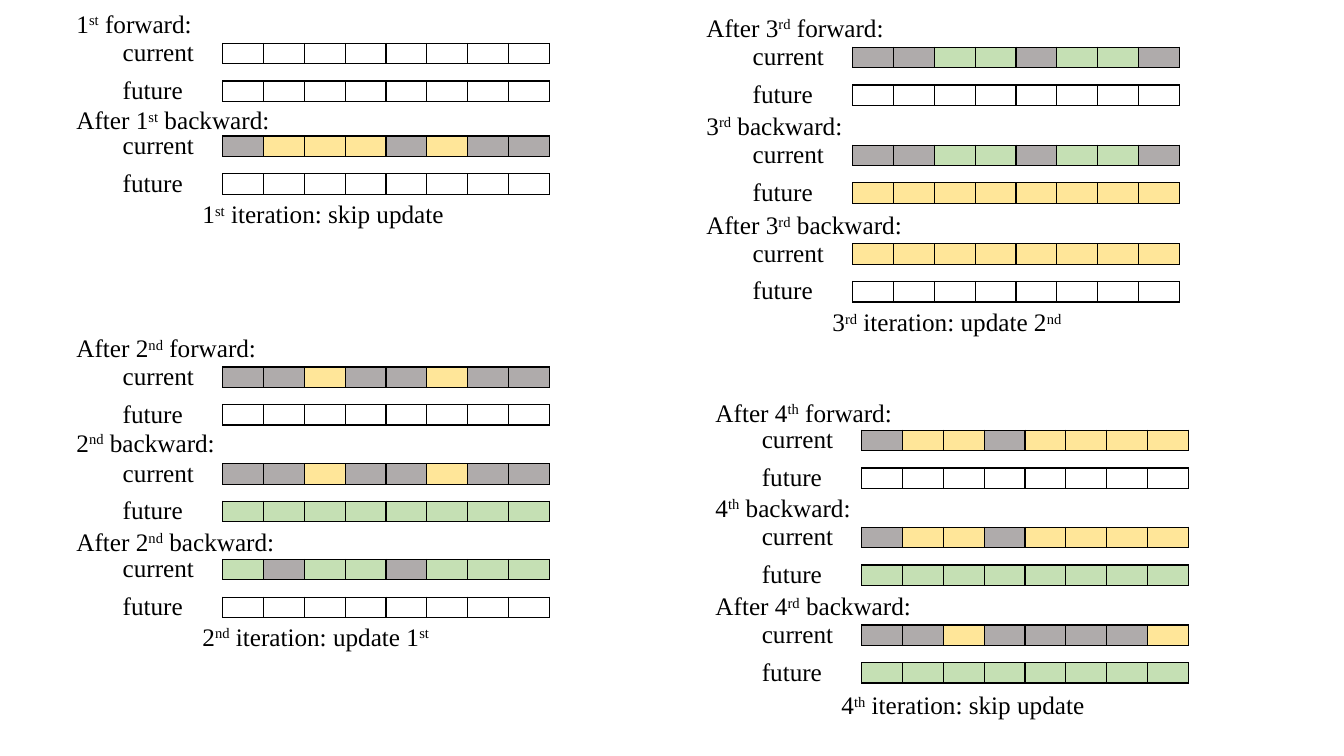
"""Build a slide showing current and future buffers over four training iterations."""
from lxml import etree
from pptx import Presentation, util as u
from pptx.dml.color import RGBColor
from pptx.enum import text
from pptx.oxml import ns

COLOURS = {"W": "FFFFFF", "A": "AFABAB", "Y": "FFE699", "G": "C5E0B4"}
BLACK = "000000"
FONT = "Times New Roman"

EMPTY, YELLOW, GREEN = "W" * 8, "Y" * 8, "G" * 8

# Carets enclose superscripts; each phase holds heading, heading top, row top, current, future.
ITERATIONS = [
    {"left": 47.5, "caption": ("1^st^ iteration: skip update", 138.2), "phases": [
        ("1^st^ forward:", 2.2, 31, EMPTY, EMPTY),
        ("After 1^st^ backward:", 71.3, 97.2, "AYYYAYAA", EMPTY)]},
    {"left": 47.5, "caption": ("2^nd^ iteration: update 1^st^", 439.9), "phases": [
        ("After 2^nd^ forward:", 234, 262.1, "AAYAAYAA", EMPTY),
        ("2^nd^ backward:", 301.7, 331.2, "AAYAAYAA", GREEN),
        ("After 2^nd^ backward:", 372.2, 399.6, "GAGGAGGG", EMPTY)]},
    {"left": 497.5, "caption": ("3^rd^ iteration: update 2^nd^", 215.3), "phases": [
        ("After 3^rd^ forward:", 5, 33.8, "AAGGAGGA", EMPTY),
        ("3^rd^ backward:", 74.9, 103.7, "AAGGAGGA", YELLOW),
        ("After 3^rd^ backward:", 146.2, 174.2, YELLOW, EMPTY)]},
    {"left": 504, "caption": ("4^th^ iteration: skip update", 488.9), "phases": [
        ("After 4^th^ forward:", 280.1, 307.4, "AYYAYYYY", EMPTY),
        ("4^th^ backward:", 347.8, 376.6, "AYYAYYYY", GREEN),
        ("After 4^rd^ backward:", 418.3, 446.4, "AAYAAAAY", GREEN)]},
]

LABEL_INDENT, ROW_INDENT, CAPTION_INDENT = 33.1, 111.6, 90
LABEL_RISE, FUTURE_DROP = 8.4, 26.9
HEADING_WIDTH, LABEL_WIDTH, CAPTION_WIDTH = 175, 88.6, 196.6
CELL_WIDTH, CELL_HEIGHT, TEXT_HEIGHT = 29.16, 14.6, 29


def colour(value):
    return RGBColor.from_string(value)


def add_text(slide, content, left, top, width, size=18, font=FONT, fill=BLACK):
    box = slide.shapes.add_textbox(u.Pt(left), u.Pt(top), u.Pt(width), u.Pt(TEXT_HEIGHT))
    frame = box.text_frame
    frame.word_wrap = True
    frame.auto_size = text.MSO_AUTO_SIZE.SHAPE_TO_FIT_TEXT
    for index, piece in enumerate(content.split("^")):
        if not piece:
            continue
        run = frame.paragraphs[0].add_run()
        run.text = piece
        run.font.size, run.font.name = u.Pt(size), font
        run.font.color.rgb = colour(fill)
        if index % 2:
            run._r.get_or_add_rPr().set("baseline", "30000")


def format_cell(cell, fill):
    cell.margin_left = cell.margin_right = cell.margin_top = cell.margin_bottom = 0
    cell.fill.solid()
    cell.fill.fore_color.rgb = colour(fill)
    properties = cell._tc.get_or_add_tcPr()
    for index, side in enumerate(("lnL", "lnR", "lnT", "lnB")):
        line = etree.Element(ns.qn("a:" + side), w=str(u.Pt(1)))
        solid = etree.SubElement(line, ns.qn("a:solidFill"))
        etree.SubElement(solid, ns.qn("a:srgbClr"), val=BLACK)
        properties.insert(index, line)
    paragraph = cell.text_frame.paragraphs[0]
    etree.SubElement(paragraph._p, ns.qn("a:endParaRPr"), sz="800")


def add_buffer(slide, label, cells, left, top):
    add_text(slide, label, left + LABEL_INDENT, top - LABEL_RISE, LABEL_WIDTH)
    frame = slide.shapes.add_table(1, len(cells), u.Pt(left + ROW_INDENT), u.Pt(top),
                                   u.Pt(CELL_WIDTH * len(cells)), u.Pt(CELL_HEIGHT))
    table = frame.table
    table.first_row = table.horz_banding = False
    for index, key in enumerate(cells):
        table.columns[index].width = u.Pt(CELL_WIDTH)
        format_cell(table.cell(0, index), COLOURS[key])


def main():
    presentation = Presentation()
    presentation.slide_width, presentation.slide_height = u.Pt(960), u.Pt(540)
    slide = presentation.slides.add_slide(presentation.slide_layouts[6])
    for iteration in ITERATIONS:
        left = iteration["left"]
        for heading, heading_top, row_top, current, future in iteration["phases"]:
            add_text(slide, heading, left, heading_top, HEADING_WIDTH)
            add_buffer(slide, "current", current, left, row_top)
            add_buffer(slide, "future", future, left, row_top + FUTURE_DROP)
        caption, caption_top = iteration["caption"]
        add_text(slide, caption, left + CAPTION_INDENT, caption_top, CAPTION_WIDTH)
    presentation.save("out.pptx")


if __name__ == "__main__":
    main()
